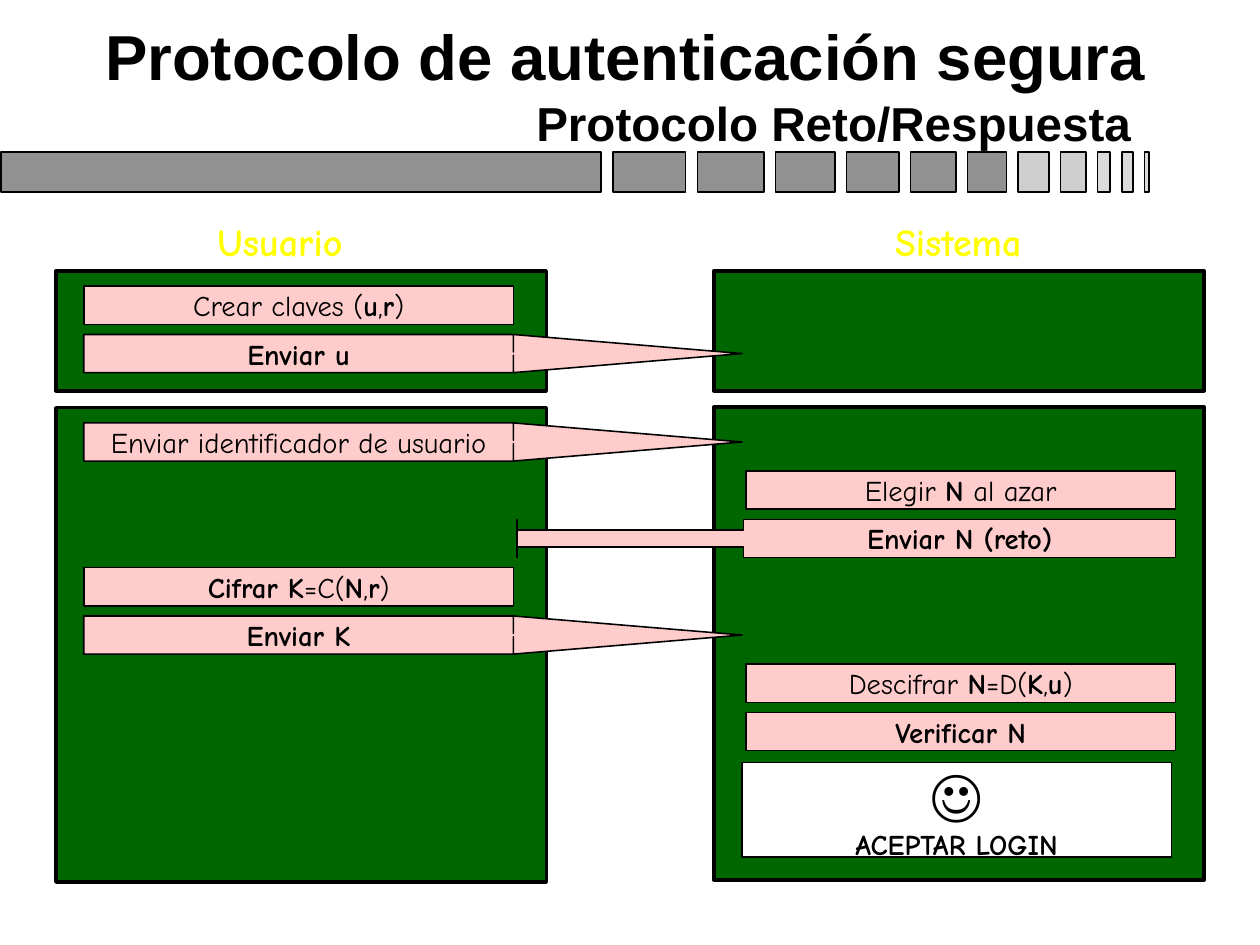
from pptx import Presentation
from pptx.dml.color import RGBColor
from pptx.enum.shapes import MSO_SHAPE
from pptx.enum.text import MSO_ANCHOR, MSO_AUTO_SIZE, PP_ALIGN
from pptx.util import Pt

RECTANGLE = MSO_SHAPE.RECTANGLE
MIDDLE, BOTTOM = MSO_ANCHOR.MIDDLE, MSO_ANCHOR.BOTTOM
CENTER, RIGHT = PP_ALIGN.CENTER, PP_ALIGN.RIGHT
NO_AUTOFIT = MSO_AUTO_SIZE.NONE
BLACK, WHITE, YELLOW = "000000", "FFFFFF", "FFFF00"
GREEN, PINK = "006600", "FFCCCC"


def paint(shape, fill, line_width):
    shape.shadow.inherit = False
    shape.fill.solid()
    shape.fill.fore_color.rgb = RGBColor.from_string(fill)
    shape.line.color.rgb = RGBColor.from_string(BLACK)
    shape.line.width = Pt(line_width)


def write(paragraph, text, font_name, size, color=BLACK, align=CENTER):
    """Add text to a paragraph; the parts between asterisks are bold."""
    paragraph.alignment = align
    for index, part in enumerate(text.split("*")):
        if part:
            run = paragraph.add_run()
            run.text = part
            run.font.name = font_name
            run.font.size = Pt(size)
            run.font.bold = index % 2 == 1
            run.font.color.rgb = RGBColor.from_string(color)


presentation = Presentation()
presentation.slide_width, presentation.slide_height = Pt(793.75), Pt(595.25)
slide = presentation.slides.add_slide(presentation.slide_layouts[5])
shapes = slide.shapes

# Row of bars that shrink to the right
bars = [(378, "919191"), (46, "919191"), (42, "919191"), (37.5, "919191"),
        (33, "919191"), (28.5, "919191"), (24.5, "919191"), (19.5, "CECECE"),
        (16, "CECECE"), (8, "DADADA"), (7, "DADADA"), (3, "DADADA")]
BAR_GAP = 7.3
bar_left = 0.7
for bar_width, gray in bars:
    bar = shapes.add_shape(RECTANGLE, Pt(bar_left), Pt(95.8), Pt(bar_width), Pt(25.2))
    paint(bar, gray, 1)
    bar_left += bar_width + BAR_GAP

# Title and subtitle
title = shapes.title
subtitle = shapes.add_textbox(Pt(45.4), Pt(55.4), Pt(674.6), Pt(43.2))
title.left, title.top, title.width, title.height = Pt(54), Pt(5.6), Pt(674.6), Pt(57)
for box, text, size in [(title, "Protocolo de autenticación segura", 40),
                        (subtitle, "Protocolo Reto/Respuesta", 30)]:
    frame = box.text_frame
    frame.auto_size = NO_AUTOFIT
    frame.word_wrap = True
    frame.vertical_anchor = BOTTOM
    write(frame.paragraphs[0], f"*{text}*", "Arial", size, align=RIGHT)

# Green panels: one column for each party
for left, top, height in [(35.3, 256.8, 298.8), (449.7, 256.3, 298),
                          (35.3, 170.6, 75.6), (449.7, 170.6, 75.6)]:
    panel = shapes.add_shape(RECTANGLE, Pt(left), Pt(top), Pt(308.9), Pt(height))
    paint(panel, GREEN, 2.25)

# Column headings
for center, text in [(176.4, "Usuario"), (603.7, "Sistema")]:
    heading = shapes.add_textbox(Pt(center - 75), Pt(138.6), Pt(150), Pt(26.5))
    heading.text_frame.word_wrap = False
    heading.text_frame.vertical_anchor = MIDDLE
    write(heading.text_frame.paragraphs[0], f"*{text}*", "Comic Neue", 24, YELLOW)

# Protocol steps: column, top of the first row, row, kind, text
USER_LEFT, SYSTEM_LEFT = 52.8, 469.9
STEP_WIDTH, STEP_HEIGHT, ROW_PITCH = 270.7, 24, 30.4
POINTER_LENGTH = 144
KEYS_TOP, LOGIN_TOP = 180.3, 266.4
steps = [
    (USER_LEFT, KEYS_TOP, 0, "box", "Crear claves (*u*,*r*)"),
    (USER_LEFT, KEYS_TOP, 1, "send", "*Enviar u*"),
    (USER_LEFT, LOGIN_TOP, 0, "send", "Enviar identificador de usuario"),
    (SYSTEM_LEFT, LOGIN_TOP, 1, "box", "Elegir *N* al azar"),
    (SYSTEM_LEFT, LOGIN_TOP, 2, "reply", "*Enviar N (reto)*"),
    (USER_LEFT, LOGIN_TOP, 3, "box", "*Cifrar K*=C(*N*,*r*)"),
    (USER_LEFT, LOGIN_TOP, 4, "send", "*Enviar K*"),
    (SYSTEM_LEFT, LOGIN_TOP, 5, "box", "Descifrar *N*=D(*K*,*u*)"),
    (SYSTEM_LEFT, LOGIN_TOP, 6, "box", "*Verificar N*"),
]
for left, first_top, row, kind, text in steps:
    top = first_top + row * ROW_PITCH
    middle, bottom = top + STEP_HEIGHT / 2, top + STEP_HEIGHT
    right = left + STEP_WIDTH
    if kind == "box":
        step = shapes.add_shape(RECTANGLE, Pt(left), Pt(top), Pt(STEP_WIDTH), Pt(STEP_HEIGHT))
    else:
        if kind == "send":
            outline = [(left, top), (right, top), (right, middle - 1), (right, top),
                       (right + POINTER_LENGTH, middle), (right, bottom),
                       (right, middle + 1), (right, bottom), (left, bottom)]
        else:
            edge, tip = left - 1.4, left - POINTER_LENGTH
            outline = [(edge, top), (right, top), (right, bottom), (edge, bottom),
                       (edge, middle + 5.4), (tip, middle + 5.4), (tip, bottom),
                       (tip, top), (tip, middle - 5.4), (edge, middle - 5.4)]
        points = [(Pt(x), Pt(y)) for x, y in outline]
        builder = shapes.build_freeform(*points[0])
        builder.add_line_segments(points[1:], close=True)
        step = builder.convert_to_shape()
    paint(step, PINK, 1)
    frame = step.text_frame
    frame.word_wrap = False
    frame.vertical_anchor = MIDDLE
    # Keep the text inside the box part of a pointer
    if kind == "send":
        frame.margin_right = Pt(7.2 + POINTER_LENGTH)
    elif kind == "reply":
        frame.margin_left = Pt(5.8 + POINTER_LENGTH)
    write(frame.paragraphs[0], text, "Comic Neue", 18)

# Final result
result = shapes.add_shape(RECTANGLE, Pt(467.3), Pt(480.2), Pt(STEP_WIDTH), Pt(59.8))
paint(result, WHITE, 1)
frame = result.text_frame
frame.word_wrap = False
frame.vertical_anchor = MIDDLE
write(frame.paragraphs[0], "☺", "Karla", 36)
write(frame.add_paragraph(), "*ACEPTAR LOGIN*", "Comic Neue", 18)

presentation.save("out.pptx")
